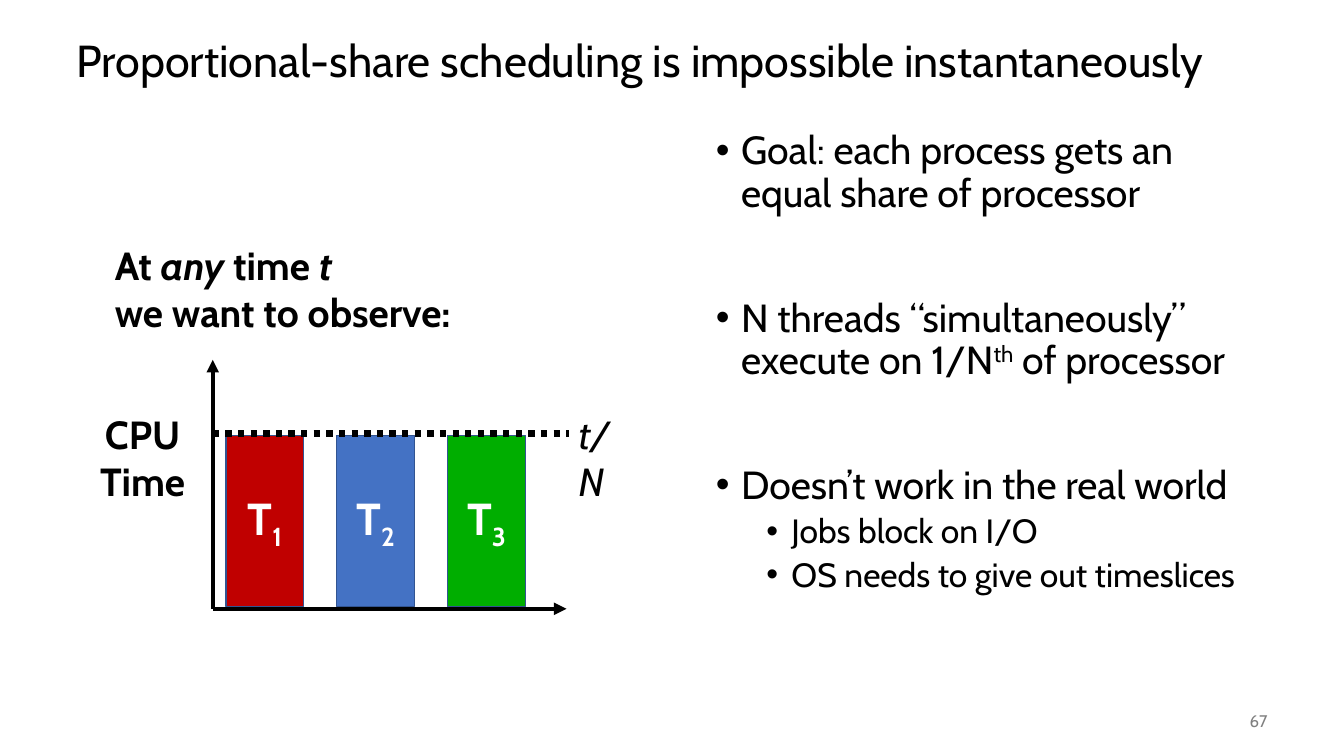
from lxml import etree
from pptx import Presentation
from pptx.dml.color import RGBColor
from pptx.enum.dml import MSO_LINE
from pptx.enum.shapes import MSO_CONNECTOR, MSO_SHAPE
from pptx.enum.text import MSO_ANCHOR, MSO_AUTO_SIZE, PP_ALIGN
from pptx.oxml.ns import qn
from pptx.util import Inches, Pt

LEFT, CENTER, RIGHT = PP_ALIGN.LEFT, PP_ALIGN.CENTER, PP_ALIGN.RIGHT
TOP, MIDDLE = MSO_ANCHOR.TOP, MSO_ANCHOR.MIDDLE
STRAIGHT, RECTANGLE = MSO_CONNECTOR.STRAIGHT, MSO_SHAPE.RECTANGLE
NO_AUTOFIT, DOTTED = MSO_AUTO_SIZE.NONE, MSO_LINE.ROUND_DOT

FONT = "Cabin"
BLACK = RGBColor(0x00, 0x00, 0x00)
WHITE = RGBColor(0xFF, 0xFF, 0xFF)
GRAY = RGBColor(0x80, 0x80, 0x80)
RED = RGBColor(0xC0, 0x00, 0x00)
BLUE = RGBColor(0x44, 0x72, 0xC4)
GREEN = RGBColor(0x00, 0xAE, 0x00)
OUTLINE = RGBColor(0x32, 0x54, 0x91)

TITLE = "Proportional-share scheduling is impossible instantaneously"
BULLETS = [
    (0, 0, [("Goal: each process gets an equal share of processor", "")]),
    (0, 59, [("N threads “simultaneously” execute on 1/N", ""),
             ("th", "super"), (" of processor", "")]),
    (0, 59, [("Doesn’t work in the real world", "")]),
    (1, 5, [("Jobs block on I/O", "")]),
    (1, 5, [("OS needs to give out timeslices", "")]),
]
LEVELS = [(0.25, 28), (0.75, 24)]
HANGING = 0.25
LABELS = [
    ((1.04, 2.34, 4.29, 1.04), LEFT, True, True,
     [("At ", ""), ("any", "italic"), (" time ", ""), ("t", "italic"),
      ("\v", ""), ("we want to observe:", "")]),
    ((0.83, 4.02, 1.17, 1.04), CENTER, True, False,
     [("CPU", ""), ("\v", ""), ("Time", "")]),
    ((5.64, 4.02, 0.75, 0.57), LEFT, False, True, [("t/N", "italic")]),
]
PAGE_NUMBER = "67"
BARS = [("1", RED), ("2", BLUE), ("3", GREEN)]
BAR_LEFT, BAR_TOP, BAR_PITCH, BAR_WIDTH, BAR_HEIGHT = 2.24, 4.32, 1.1, 0.77, 1.7
ORIGIN = (2.11, 6.04)
AXIS_ENDS = [(5.62, 6.04), (2.11, 3.57)]
SHARE_LINE = ((2.11, 4.3), (5.64, 4.3))
BASELINES = {"super": "30000", "sub": "-25000"}


def place(shape, box):
    shape.left, shape.top, shape.width, shape.height = map(Inches, box)


def write(paragraph, runs, size, color=BLACK, bold=False, align=LEFT):
    for text, style in runs:
        if text == "\v":
            paragraph.add_line_break()
            continue
        run = paragraph.add_run()
        run.text = text
        if style == "italic":
            run.font.italic = True
        elif style in BASELINES:
            run._r.get_or_add_rPr().set("baseline", BASELINES[style])
    paragraph.alignment = align
    font = paragraph.font
    font.name, font.size, font.bold = FONT, Pt(size), bold
    font.color.rgb = color


def set_frame(shape, anchor=TOP, wrap=True):
    frame = shape.text_frame
    frame.auto_size = NO_AUTOFIT
    frame.vertical_anchor = anchor
    frame.word_wrap = wrap
    return frame


def add_label(slide, box, runs, size, color=BLACK, bold=False, align=LEFT,
              anchor=TOP, wrap=True):
    label = slide.shapes.add_textbox(*map(Inches, box))
    frame = set_frame(label, anchor, wrap)
    write(frame.paragraphs[0], runs, size, color, bold, align)


def add_bullet(paragraph, indent):
    properties = paragraph._p.get_or_add_pPr()
    properties.set("marL", str(Inches(indent)))
    properties.set("indent", str(-Inches(HANGING)))
    etree.SubElement(properties, qn("a:buFont")).set("typeface", "Arial")
    etree.SubElement(properties, qn("a:buChar")).set("char", "•")


def add_line(slide, start, end, width, arrow=False):
    connector = slide.shapes.add_connector(STRAIGHT, *map(Inches, start + end))
    connector.line.color.rgb = BLACK
    connector.line.width = Pt(width)
    if arrow:
        line = connector.line._get_or_add_ln()
        etree.SubElement(line, qn("a:tailEnd")).set("type", "triangle")
    etree.SubElement(connector._element.spPr, qn("a:effectLst"))
    return connector


def add_bar(slide, index, number, color):
    box = (BAR_LEFT + index * BAR_PITCH, BAR_TOP, BAR_WIDTH, BAR_HEIGHT)
    bar = slide.shapes.add_shape(RECTANGLE, *map(Inches, box))
    bar.shadow.inherit = False
    bar.fill.solid()
    bar.fill.fore_color.rgb = color
    bar.line.color.rgb = OUTLINE
    bar.line.width = Pt(1)
    frame = set_frame(bar, MIDDLE)
    write(frame.paragraphs[0], [("T", ""), (number, "sub")], 32, WHITE, True, CENTER)


def main():
    presentation = Presentation()
    presentation.slide_width = Inches(13.33)
    presentation.slide_height = Inches(7.5)
    slide = presentation.slides.add_slide(presentation.slide_layouts[1])

    title = slide.shapes.title
    place(title, (0.66, 0.25, 12, 0.75))
    heading = set_frame(title, MIDDLE).paragraphs[0]
    write(heading, [(TITLE, "")], 32)
    heading.line_spacing = 0.9

    body = slide.placeholders[1]
    place(body, (7, 1.25, 5.66, 5.5))
    frame = set_frame(body)
    for index, (level, space, runs) in enumerate(BULLETS):
        paragraph = frame.add_paragraph() if index else frame.paragraphs[0]
        indent, size = LEVELS[level]
        paragraph.level = level
        add_bullet(paragraph, indent)
        write(paragraph, runs, size)
        paragraph.line_spacing = 0.9
        paragraph.space_before = Pt(space)

    add_label(slide, (11.67, 6.95, 1, 0.4), [(PAGE_NUMBER, "")], 12, GRAY,
              align=RIGHT, anchor=MIDDLE)
    for box, align, bold, wrap, runs in LABELS:
        add_label(slide, box, runs, 28, bold=bold, align=align, wrap=wrap)
    for end in AXIS_ENDS:
        add_line(slide, ORIGIN, end, 3, arrow=True)
    for index, (number, color) in enumerate(BARS):
        add_bar(slide, index, number, color)
    add_line(slide, *SHARE_LINE, 4.5).line.dash_style = DOTTED

    presentation.save("out.pptx")


if __name__ == "__main__":
    main()
